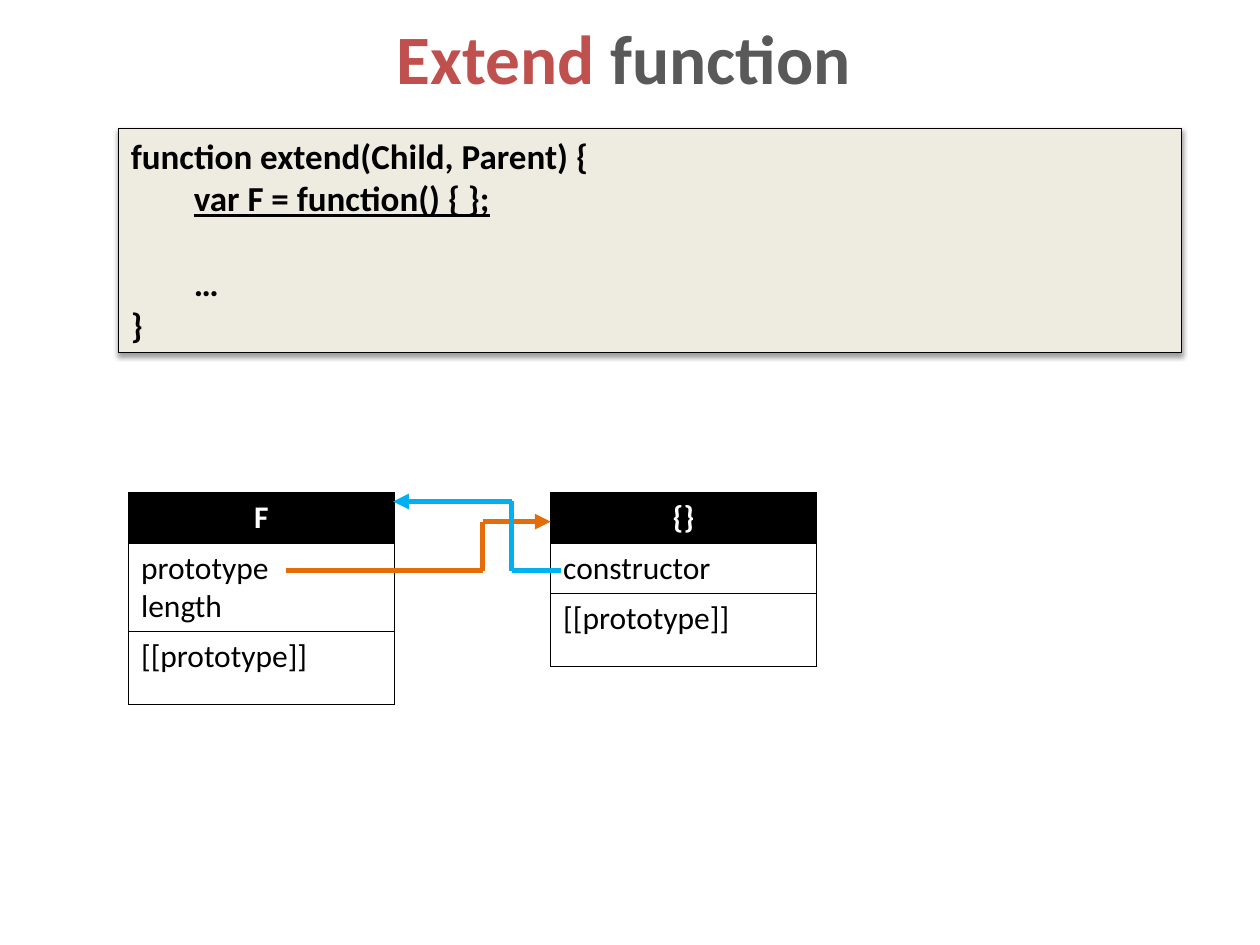
from dataclasses import dataclass
from itertools import pairwise

from lxml import etree
from pptx import Presentation
from pptx.dml.color import RGBColor
from pptx.enum.shapes import MSO_CONNECTOR, MSO_SHAPE
from pptx.enum.text import MSO_ANCHOR, PP_ALIGN
from pptx.oxml import parse_xml
from pptx.oxml.ns import nsdecls, qn
from pptx.util import Inches, Pt

RECTANGLE = MSO_SHAPE.RECTANGLE
STRAIGHT = MSO_CONNECTOR.STRAIGHT
TOP, MIDDLE = MSO_ANCHOR.TOP, MSO_ANCHOR.MIDDLE
LEFT, CENTER = PP_ALIGN.LEFT, PP_ALIGN.CENTER


@dataclass(frozen=True)
class Theme:
    font: str = "Calibri"
    title_size: float = 39.6
    code_size: float = 20
    table_size: float = 18
    black: str = "000000"
    white: str = "FFFFFF"
    red: str = "C0504D"
    grey: str = "595959"
    code_fill: str = "EEECE1"
    orange: str = "E46C0A"
    blue: str = "00B0F0"
    thin: float = 0.75
    thick: float = 3


THEME = Theme()


def add_run(paragraph, text, size, color, **formats):
    run = paragraph.add_run()
    run.text = text
    values = {"name": THEME.font, "size": Pt(size), **formats}
    for name, value in values.items():
        setattr(run.font, name, value)
    run.font.color.rgb = RGBColor.from_string(color)


def add_lines(text_frame, lines, size, color, alignment=LEFT, bold=False):
    """Write one paragraph per line; each line is a list of (text, underline)."""
    for index, line in enumerate(lines):
        paragraph = text_frame.add_paragraph() if index else text_frame.paragraphs[0]
        paragraph.alignment = alignment
        for text, underline in line:
            add_run(paragraph, text, size, color, bold=bold, underline=underline)


def add_title(slide, parts):
    box = slide.shapes.add_textbox(Inches(0.7), Inches(0.16), Inches(8.5), Inches(0.58))
    box.text_frame.word_wrap = True
    box.text_frame.vertical_anchor = MIDDLE
    paragraph = box.text_frame.paragraphs[0]
    paragraph.alignment = CENTER
    for text, color in parts:
        add_run(paragraph, text, THEME.title_size, color, bold=True)


def add_shadow(shape):
    shape._element.spPr.append(parse_xml(
        f'<a:effectLst {nsdecls("a")}>'
        f'<a:outerShdw blurRad="{Pt(3.1)}" dist="{Pt(1.6)}" dir="5400000" rotWithShape="0">'
        f'<a:srgbClr val="{THEME.black}"><a:alpha val="38000"/></a:srgbClr>'
        '</a:outerShdw></a:effectLst>'))


def add_code_box(slide, lines):
    box = slide.shapes.add_shape(
        RECTANGLE, Inches(0.94), Inches(1.02), Inches(8.44), Inches(1.78))
    box.fill.solid()
    box.fill.fore_color.rgb = RGBColor.from_string(THEME.code_fill)
    box.line.color.rgb = RGBColor.from_string(THEME.black)
    box.line.width = Pt(THEME.thin)
    add_shadow(box)
    box.text_frame.word_wrap = True
    box.text_frame.vertical_anchor = TOP
    add_lines(box.text_frame, lines, THEME.code_size, THEME.black, bold=True)
    return box


def add_borders(cell):
    properties = cell._tc.get_or_add_tcPr()
    for index, side in enumerate(("lnL", "lnR", "lnT", "lnB")):
        properties.insert(index, parse_xml(
            f'<a:{side} {nsdecls("a")} w="{Pt(THEME.thin)}"><a:solidFill>'
            f'<a:srgbClr val="{THEME.black}"/></a:solidFill></a:{side}>'))


def add_object_table(slide, left, rows):
    """Draw an object as a black heading over its rows, given as (height, lines)."""
    height = sum(row_height for row_height, _ in rows)
    table = slide.shapes.add_table(
        len(rows), 1, Inches(left), Inches(3.91), Inches(2.11), Inches(height)).table
    table.first_row = table.horz_banding = False
    for index, (row_height, lines) in enumerate(rows):
        heading = index == 0
        table.rows[index].height = Inches(row_height)
        cell = table.cell(index, 0)
        cell.fill.solid()
        cell.fill.fore_color.rgb = RGBColor.from_string(
            THEME.black if heading else THEME.white)
        add_borders(cell)
        add_lines(cell.text_frame, [[(line, False)] for line in lines],
                  THEME.table_size, THEME.white if heading else THEME.black,
                  CENTER if heading else LEFT, bold=heading)


def add_route(slide, points, color):
    """Join points with straight lines, with an arrowhead at the first point."""
    for index, (start, end) in enumerate(pairwise(points)):
        connector = slide.shapes.add_connector(
            STRAIGHT, *(Inches(value) for value in start + end))
        connector.line.color.rgb = RGBColor.from_string(color)
        connector.line.width = Pt(THEME.thick)
        if index == 0:
            line = connector.line._get_or_add_ln()
            etree.SubElement(line, qn("a:headEnd"), type="triangle")
        etree.SubElement(connector._element.spPr, qn("a:effectLst"))


def main():
    presentation = Presentation()
    presentation.slide_width, presentation.slide_height = Inches(10), Inches(7.5)
    slide = presentation.slides.add_slide(presentation.slide_layouts[6])

    add_title(slide, [("Extend", THEME.red), (" function", THEME.grey)])
    code_box = add_code_box(slide, [
        [("function extend(Child, Parent) {", False)],
        [("\t", False), ("var F = function() { };", True)],
        [("\t…", False)],
        [("}", False)],
    ])
    code_box.text_frame.paragraphs[2].space_before = Pt(24.4)

    add_object_table(slide, 1.02, [
        (0.4, ["F"]), (0.7, ["prototype", "length"]), (0.58, ["[[prototype]]"])])
    add_object_table(slide, 4.37, [
        (0.4, ["{}"]), (0.4, ["constructor"]), (0.58, ["[[prototype]]"])])

    add_route(slide, [(4.37, 4.14), (3.83, 4.14), (3.83, 4.53), (2.27, 4.53)],
              THEME.orange)
    add_route(slide, [(3.12, 3.98), (4.06, 3.98), (4.06, 4.53), (4.45, 4.53)],
              THEME.blue)
    presentation.save("out.pptx")


if __name__ == "__main__":
    main()
